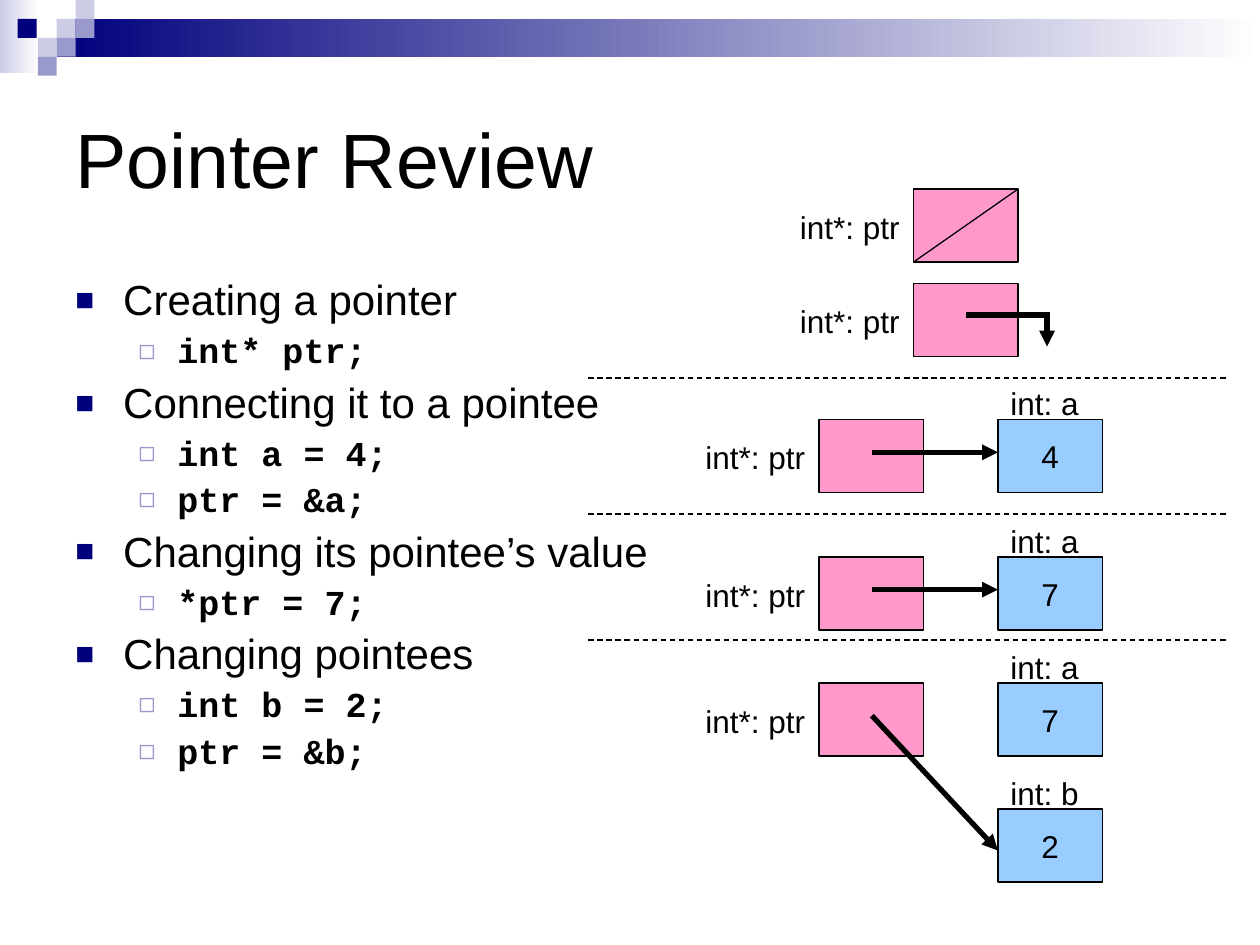
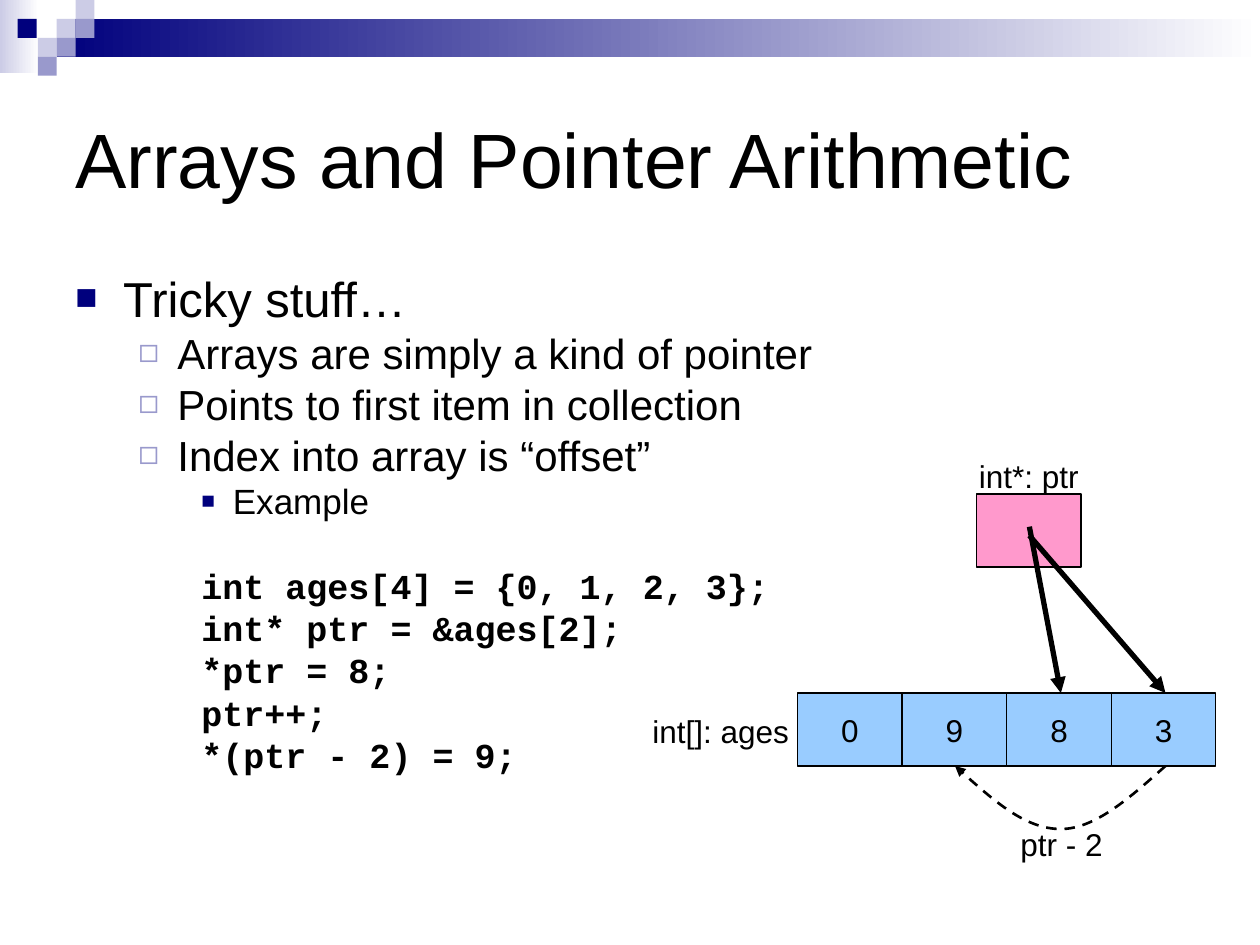
from lxml import etree
from pptx import Presentation
from pptx.dml.color import RGBColor
from pptx.enum.dml import MSO_LINE
from pptx.enum.shapes import MSO_CONNECTOR, MSO_SHAPE
from pptx.enum.text import MSO_ANCHOR, PP_ALIGN
from pptx.oxml.ns import qn
from pptx.util import Inches, Pt

BLACK = RGBColor(0x00, 0x00, 0x00)
WHITE = RGBColor(0xFF, 0xFF, 0xFF)
NAVY = RGBColor(0x00, 0x00, 0x7D)
LAVENDER = RGBColor(0xCC, 0xCC, 0xE6)
VIOLET = RGBColor(0x99, 0x99, 0xCC)
PINK = RGBColor(0xFF, 0x99, 0xCC)
BLUE = RGBColor(0x99, 0xCC, 0xFF)

RECTANGLE = MSO_SHAPE.RECTANGLE
STRAIGHT = MSO_CONNECTOR.STRAIGHT
DASH = MSO_LINE.DASH
MIDDLE = MSO_ANCHOR.MIDDLE
CENTER = PP_ALIGN.CENTER
LEFT = PP_ALIGN.LEFT

TEXT_FONT = "Arial"
CODE_FONT = "Courier New"
BOX_WIDTH = 0.83
BOX_HEIGHT = 0.58
SQUARE = 0.15
SQUARES = [
    (0.45, 0.15, LAVENDER), (0.6, 0, LAVENDER), (0.6, 0.15, VIOLET),
    (0.3, 0.3, LAVENDER), (0.14, 0.15, NAVY), (0.45, 0.3, VIOLET),
    (0.3, 0.45, VIOLET),
]
LEVELS = [
    (0.38, 0.38, "■", NAVY, 75),
    (0.81, 0.31, "◻", VIOLET, 80),
    (1.25, 0.25, "■", NAVY, 65),
]


def write(paragraph, text, *, size=18, font=TEXT_FONT, bold=False, align=LEFT):
    run = paragraph.add_run()
    run.text = text
    run.font.size = Pt(size)
    run.font.name = font
    run.font.bold = bold
    run.font.color.rgb = BLACK
    paragraph.alignment = align


def add_bullet(properties, character, color, percent):
    bullet_color = etree.SubElement(properties, qn("a:buClr"))
    etree.SubElement(bullet_color, qn("a:srgbClr"), val=str(color))
    etree.SubElement(properties, qn("a:buSzPct"), val=str(percent * 1000))
    etree.SubElement(properties, qn("a:buFont"), typeface=TEXT_FONT)
    etree.SubElement(properties, qn("a:buChar"), char=character)


class Deck:
    def __init__(self):
        self.presentation = Presentation()
        self.presentation.slide_width = Inches(10)
        self.presentation.slide_height = Inches(7.5)
        self.slide = None

    def add_slide(self, title):
        layout = self.presentation.slide_layouts[6]
        self.slide = self.presentation.slides.add_slide(layout)
        self.rectangle(0, 0, 0.31, BOX_HEIGHT, LAVENDER, fade=True)
        self.rectangle(0.45, 0.15, 9.55, 0.3, NAVY, fade=True)
        for left, top, color in SQUARES:
            self.rectangle(left, top, SQUARE, SQUARE, color)
        frame = self.text_frame(0.5, 0.5, 9, 1.5)
        frame.vertical_anchor = MIDDLE
        write(frame.paragraphs[0], title, size=44)

    def rectangle(self, left, top, width, height, color, fade=False):
        shape = self.slide.shapes.add_shape(
            RECTANGLE, Inches(left), Inches(top), Inches(width), Inches(height))
        shape.shadow.inherit = False
        shape.line.fill.background()
        if fade:
            shape.fill.gradient()
            shape.fill.gradient_angle = 0
            for stop, stop_color in zip(shape.fill.gradient_stops, (color, WHITE)):
                stop.color.rgb = stop_color
        else:
            shape.fill.solid()
            shape.fill.fore_color.rgb = color
        return shape

    def text_frame(self, left, top, width, height):
        box = self.slide.shapes.add_textbox(
            Inches(left), Inches(top), Inches(width), Inches(height))
        box.text_frame.word_wrap = True
        return box.text_frame

    def label(self, left, top, text, width=1.08):
        write(self.text_frame(left, top, width, 0.4).paragraphs[0], text)

    def body(self, items, sizes, line_spacing, code_level):
        frame = self.text_frame(0.5, 2.17, 9, 4.25)
        for index, (level, text) in enumerate(items):
            paragraph = frame.paragraphs[0] if index == 0 else frame.add_paragraph()
            margin, hanging, character, color, percent = LEVELS[level]
            properties = paragraph._p.get_or_add_pPr()
            properties.set("marL", str(Inches(margin)))
            properties.set("indent", str(-Inches(hanging)))
            add_bullet(properties, character, color, percent)
            paragraph.line_spacing = line_spacing
            if index:
                paragraph.space_before = Pt(sizes[level] / 4)
            code = level == code_level
            write(paragraph, text, size=sizes[level],
                  font=CODE_FONT if code else TEXT_FONT, bold=code)
        return frame

    def code(self, frame, lines, size, line_spacing, gap):
        for index, line in enumerate(lines):
            paragraph = frame.add_paragraph()
            paragraph._p.get_or_add_pPr().set("marL", str(Inches(1)))
            paragraph.line_spacing = line_spacing
            paragraph.space_before = Pt(size / 4 if index else gap)
            write(paragraph, line, size=size, font=CODE_FONT, bold=True)

    def box(self, left, top, color, text=""):
        shape = self.rectangle(left, top, BOX_WIDTH, BOX_HEIGHT, color)
        self.style_line(shape.line, 0.75)
        if text:
            shape.text_frame.word_wrap = False
            shape.text_frame.vertical_anchor = MIDDLE
            write(shape.text_frame.paragraphs[0], text, align=CENTER)

    def pointer(self, left, top):
        self.box(left, top, PINK)
        self.label(left - 1, top + 0.1, "int*: ptr")

    def variable(self, left, top, name, value):
        self.box(left, top, BLUE, value)
        self.label(left, top - 0.33, f"int: {name}")

    def style_line(self, line, weight, dashed=False, arrow=False):
        line.color.rgb = BLACK
        line.width = Pt(weight)
        if dashed:
            line.dash_style = DASH
        if arrow:
            etree.SubElement(line._get_or_add_ln(), qn("a:tailEnd"), type="triangle")

    def line(self, start, end, weight=0.75, dashed=False, arrow=False):
        connector = self.slide.shapes.add_connector(
            STRAIGHT, *(Inches(value) for value in (*start, *end)))
        self.style_line(connector.line, weight, dashed, arrow)
        etree.SubElement(connector._element.spPr, qn("a:effectLst"))

    def arrow(self, start, end):
        self.line(start, end, weight=3, arrow=True)

    def curved_arrow(self, points):
        start, *others = [(Inches(x), Inches(y)) for x, y in points]
        builder = self.slide.shapes.build_freeform(*start)
        builder.add_line_segments(others, close=False)
        shape = builder.convert_to_shape()
        shape.shadow.inherit = False
        shape.fill.background()
        self.style_line(shape.line, 1.5, dashed=True, arrow=True)
        outline = next(shape._element.iter(qn("a:path")))
        segments = outline.findall(qn("a:lnTo"))
        for first in range(0, len(segments), 3):
            curve = etree.SubElement(outline, qn("a:cubicBezTo"))
            for segment in segments[first:first + 3]:
                curve.append(segment[0])
                outline.remove(segment)


def add_pointer_review(deck):
    deck.add_slide("Pointer Review")
    deck.body([
        (0, "Creating a pointer"),
        (1, "int* ptr;"),
        (0, "Connecting it to a pointee"),
        (1, "int a = 4;"),
        (1, "ptr = &a;"),
        (0, "Changing its pointee’s value"),
        (1, "*ptr = 7;"),
        (0, "Changing pointees"),
        (1, "int b = 2;"),
        (1, "ptr = &b;"),
    ], sizes=(24, 20), line_spacing=0.9, code_level=1)

    pointer_left, variable_left = 6.5, 7.92
    for top, value, arrow_drop in ((3.33, "4", 0), (4.42, "7", 0), (5.42, "7", 1.07)):
        deck.pointer(pointer_left, top)
        deck.variable(variable_left, top, "a", value)
        arrow_top = top + 0.26
        deck.arrow((6.92, arrow_top), (variable_left, arrow_top + arrow_drop))
    deck.variable(variable_left, 6.42, "b", "2")
    for divider in (3, 4.08, 5.08):
        deck.line((4.67, divider), (9.75, divider), dashed=True)

    null_left, null_top = 7.25, 1.5
    for top in (null_top, 2.25):
        deck.pointer(null_left, top)
    deck.line((null_left + BOX_WIDTH, null_top), (null_left, null_top + BOX_HEIGHT))
    deck.arrow((8.31, 2.5), (8.31, 2.75))
    deck.line((7.67, 2.5), (8.33, 2.5), weight=3)


def add_pointer_arithmetic(deck):
    deck.add_slide("Arrays and Pointer Arithmetic")
    frame = deck.body([
        (0, "Tricky stuff…"),
        (1, "Arrays are simply a kind of pointer"),
        (1, "Points to first item in collection"),
        (1, "Index into array is “offset”"),
        (2, "Example"),
    ], sizes=(28, 24, 20), line_spacing=0.8, code_level=None)
    deck.code(frame, [
        "int ages[4] = {0, 1, 2, 3};",
        "int* ptr = &ages[2];",
        "*ptr = 8;",
        "ptr++;",
        "*(ptr - 2) = 9;",
    ], size=20, line_spacing=0.8, gap=29)

    array_top = 5.5
    for index, value in enumerate("0983"):
        deck.box(6.33 + index * BOX_WIDTH, array_top, BLUE, value)
    deck.label(5.08, 5.6, "int[]: ages", width=1.33)
    deck.box(7.75, 3.92, PINK)
    deck.label(7.67, 3.58, "int*: ptr")
    deck.arrow((8.17, 4.18), (8.42, array_top))
    deck.arrow((8.17, 4.25), (9.25, array_top))
    deck.curved_arrow([
        (9.25, 6.08), (8.97, 6.33), (8.69, 6.58), (8.42, 6.58),
        (8.14, 6.58), (7.86, 6.33), (7.58, 6.08),
    ])
    deck.label(8, 6.5, "ptr - 2", width=0.92)


def main():
    deck = Deck()
    add_pointer_review(deck)
    add_pointer_arithmetic(deck)
    deck.presentation.save("out.pptx")


if __name__ == "__main__":
    main()
